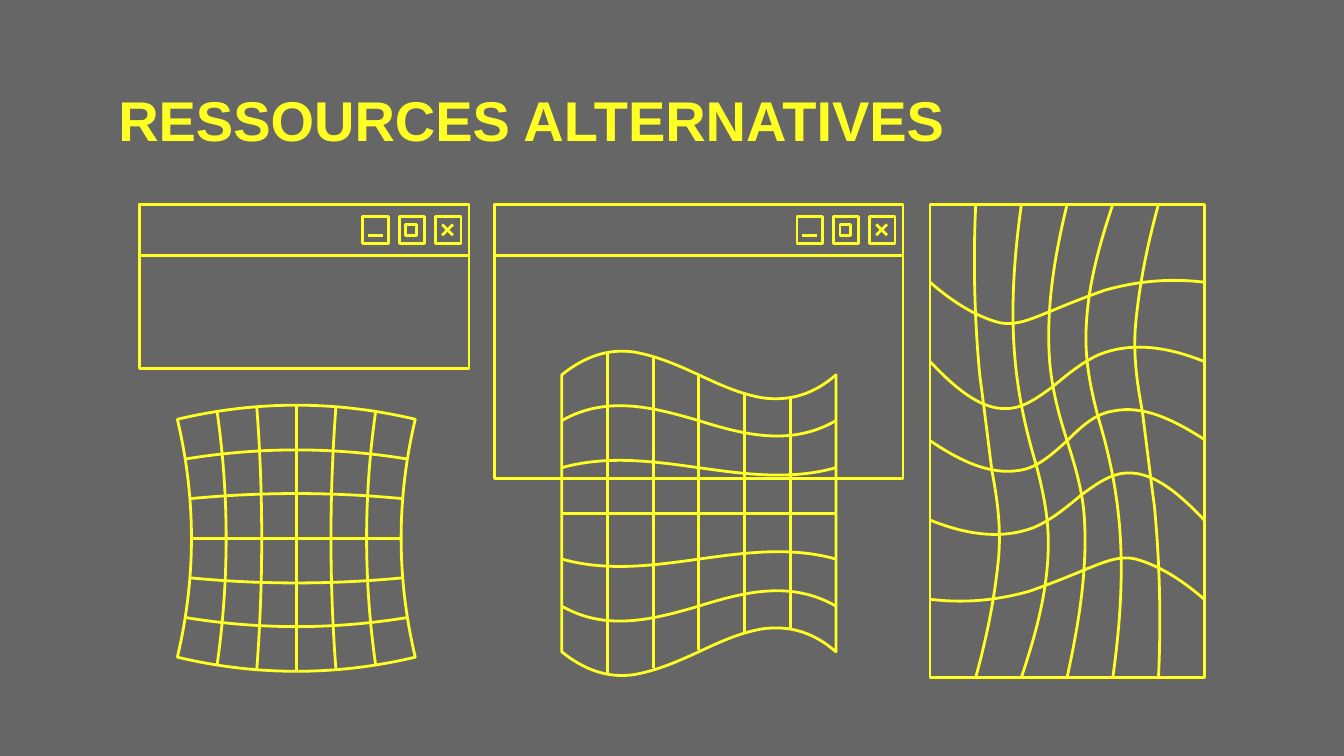
from dataclasses import dataclass

from lxml import etree
from pptx import Presentation
from pptx.dml.color import RGBColor
from pptx.enum.shapes import MSO_CONNECTOR, MSO_SHAPE
from pptx.enum.text import MSO_ANCHOR, MSO_AUTO_SIZE, PP_ALIGN
from pptx.oxml.ns import qn
from pptx.util import Emu, Pt

BOX, LINE = MSO_SHAPE.RECTANGLE, MSO_CONNECTOR.STRAIGHT
TOP, LEFT, FIXED = MSO_ANCHOR.TOP, PP_ALIGN.LEFT, MSO_AUTO_SIZE.NONE
PX = 9144  # EMU, 100 px to the inch
COLORS = {"back": "666666", "ink": "FFFF24"}
Point = tuple[float, float]
Points = list[Point]


@dataclass
class Window:
    left: int
    top: int
    width: int
    height: int


WINDOWS = [Window(104, 152, 245, 122), Window(368, 152, 304, 204)]


def px(size: float) -> Emu:
    return Emu(round(size * PX))


def color(name: str) -> RGBColor:
    return RGBColor.from_string(COLORS[name])


def write(shape, text: str, *, size: int, font: str, ink: str, bold: bool = False) -> None:
    frame = shape.text_frame
    frame.word_wrap, frame.auto_size = True, FIXED
    frame.vertical_anchor = TOP
    frame.margin_left = frame.margin_right = frame.margin_bottom = px(10)
    frame.margin_top = px(13)
    para = frame.paragraphs[0]
    para.alignment = LEFT
    run = para.add_run()
    run.text = text
    run.font.size, run.font.name, run.font.bold = Pt(size), font, bold
    run.font.color.rgb = color(ink)


def stroke(shape) -> None:
    shape.line.color.rgb = color("ink")
    shape.line.width = Pt(1.5)


def box(shapes, left: int, top: int, width: int, height: int, fill: bool = True) -> None:
    shape = shapes.add_shape(BOX, px(left), px(top), px(width), px(height))
    shape.shadow.inherit = False
    if fill:
        shape.fill.solid()
        shape.fill.fore_color.rgb = color("back")
    else:
        shape.fill.background()
    stroke(shape)


def line(shapes, start: Point, end: Point) -> None:
    shape = shapes.add_connector(LINE, *map(px, start + end))
    stroke(shape)
    etree.SubElement(shape._element.spPr, qn("a:effectLst"))


def curve(shapes, knots: Points, close: bool = False) -> None:
    """Joined cubic curves: a start, then two controls and an end for each."""
    dots = [(px(x), px(y)) for x, y in knots]
    pen = shapes.build_freeform(*dots[0], scale=1.0)
    pen.add_line_segments(dots[1:], close=close)
    shape = pen.convert_to_shape()
    # Merge each three line segments into one cubic segment
    legs = list(shape._element.iter(qn("a:lnTo")))
    for first, *rest in zip(legs[::3], legs[1::3], legs[2::3]):
        first.tag = qn("a:cubicBezTo")
        for leg in rest:
            first.append(leg[0])
            leg.getparent().remove(leg)
    shape.shadow.inherit = False
    shape.fill.background()
    stroke(shape)


def window(shapes, win: Window) -> None:
    box(shapes, win.left, win.top, win.width, win.height)
    box(shapes, win.left, win.top, win.width, 38)
    # Buttons: minimise, maximise, close
    top = win.top + 9
    small, large, shut = [win.left + win.width - gap for gap in (79, 52, 25)]
    for left in (small, large, shut):
        box(shapes, left, top, 19, 20)
    line(shapes, (small + 4, top + 14), (small + 15, top + 14))
    box(shapes, large + 5, top + 6, 8, 8)
    for start, end in ((14, 6), (6, 14)):
        line(shapes, (shut + 5, top + start), (shut + 13, top + end))


def pinch(shapes) -> None:
    """Square net with its sides drawn in and its corners out."""
    left, top, side = 132, 312, 177
    rows, cols = [], []
    insets, bends = (0, 6, 10, 11, 10, 6, 0), (-14, -9, -5, 0, 5, 9, 14)
    for i, (inset, bend) in enumerate(zip(insets, bends)):
        at = side * i / 6
        offsets = (0, bend, bend, 0)
        # Rows stop short of the corners, columns run past them
        short, long = side - 2 * inset, side + 2 * inset
        rows.append([(left + inset + short * k / 3, top + at + b)
                     for k, b in enumerate(offsets)])
        cols.append([(left + at - b, top - inset + long * k / 3)
                     for k, b in enumerate(offsets)])
    edge = rows[0] + cols[-1][1:] + rows[-1][-2::-1] + cols[0][-2::-1]
    curve(shapes, edge, close=True)
    for i in range(1, 6):
        for knots in (rows[i], cols[i]):
            if bends[i]:
                curve(shapes, knots)
            else:
                line(shapes, knots[0], knots[-1])


def wave(shapes) -> None:
    """Flag net: the rows below the middle mirror those above."""
    left, right, mid = 418, 622, 382
    edge = [(418, 0), (434, -13), (452, -20), (472, -17), (489, -14), (505, -7), (520, 0),
            (535, 7), (550, 14), (567, 17), (588, 20), (606, 14), (622, 0)]
    outer = [(418, 0), (451, -19), (486, -10), (520, 0), (555, 11), (589, 19), (622, 0)]
    inner = [(418, 0), (486, -19), (554, 19), (622, 0)]

    def row(knots: Points, gap: int, sign: int) -> Points:
        return [(x, mid + sign * (y - gap)) for x, y in knots]

    over, under = row(edge, 103, 1), row(edge, 103, -1)[::-1]
    curve(shapes, over + [over[-1], under[0]] + under, close=True)
    for knots, gap in ((outer, 69), (inner, 34)):
        for sign in (1, -1):
            curve(shapes, row(knots, gap, sign))
    line(shapes, (left, mid), (right, mid))
    spans = ((262, 501), (266, 497), (279, 484), (293, 470), (296, 467))
    for i, (top, base) in enumerate(spans, 1):
        line(shapes, (left + 34 * i, top), (left + 34 * i, base))


def twist(shapes) -> None:
    """Tall net that looks the same after half a turn."""
    left, top, right, base = 692, 152, 896, 504
    box(shapes, left, top, right - left, base - top, fill=False)
    pairs = [
        # Rows
        [(692, 210), (708, 224), (725, 235), (743, 240), (756, 243), (768, 237), (781, 232),
         (795, 226), (808, 221), (822, 216), (847, 209), (871, 207), (896, 210)],
        [(692, 269), (709, 287), (729, 305), (749, 304), (761, 304), (772, 296), (783, 288),
         (795, 278), (807, 268), (820, 263), (845, 254), (871, 259), (896, 269)],
        # Columns
        [(726, 152), (724, 194), (725, 237), (729, 279), (732, 302), (735, 326), (738, 350),
         (742, 371), (745, 392), (743, 415), (740, 446), (734, 475), (726, 504)],
        [(760, 152), (754, 195), (751, 239), (757, 283), (760, 305), (765, 326), (771, 346),
         (776, 365), (780, 384), (780, 404), (780, 440), (770, 474), (760, 504)],
    ]
    middles = [
        [(692, 328), (713, 342), (736, 354), (759, 350), (772, 348), (783, 338), (794, 328),
         (805, 317), (815, 308), (828, 306), (851, 301), (874, 313), (896, 327)],
        [(794, 152), (785, 189), (778, 229), (781, 269), (783, 291), (788, 309), (794, 328),
         (800, 347), (806, 366), (807, 388), (809, 428), (802, 467), (794, 504)],
    ]
    turned = [[(left + right - x, top + base - y) for x, y in knots] for knots in pairs]
    for knots in pairs + turned + middles:
        curve(shapes, knots)


def main() -> None:
    deck = Presentation()
    deck.slide_width = px(1000)
    deck.slide_height = Emu(deck.slide_width * 9 // 16)
    slide = deck.slides.add_slide(deck.slide_layouts[5])
    slide.background.fill.solid()
    slide.background.fill.fore_color.rgb = color("back")

    # Title
    title = slide.shapes.title
    title.left, title.top, title.width, title.height = map(px, (78, 51, 844, 63))
    write(title, "RESSOURCES ALTERNATIVES", size=30, font="Arial", ink="ink", bold=True)

    # Windows, then the three warped nets
    for win in WINDOWS:
        window(slide.shapes.add_group_shape().shapes, win)
    for draw in (pinch, twist, wave):
        draw(slide.shapes.add_group_shape().shapes)

    deck.save("out.pptx")


if __name__ == "__main__":
    main()
